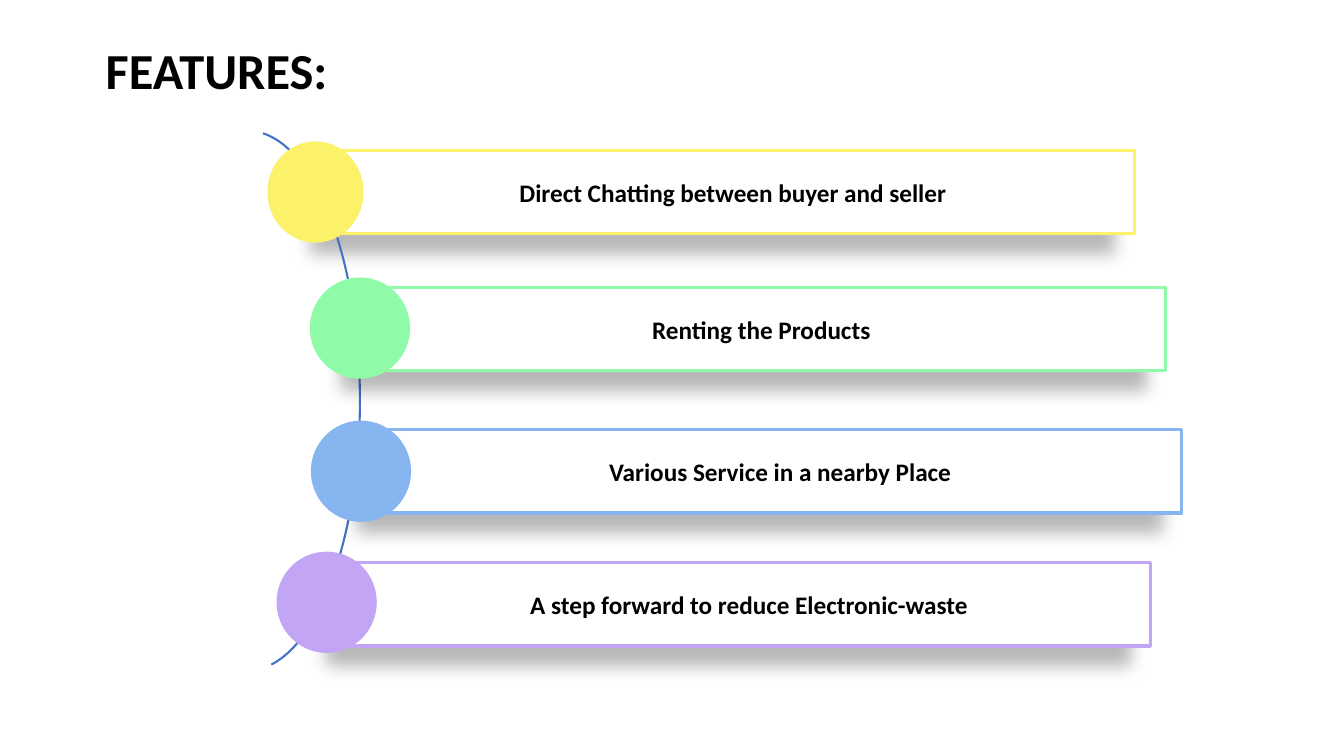
import lxml.etree
import pptx
import pptx.dml.color
import pptx.enum.shapes
import pptx.enum.text
import pptx.oxml.ns
import pptx.util

SCALE = 9144  # EMU per px, 100 px to the inch
SHAPE = pptx.enum.shapes.MSO_SHAPE
ALIGN = pptx.enum.text.PP_ALIGN
ANCHOR = pptx.enum.text.MSO_ANCHOR

BAR_W, BAR_H = 796, 83
DOT_H = 99

# label, colour, bar (left, top), dot (left, top, width)
FEATURES = [
    ("Direct Chatting between buyer and seller", "FBF269", (329, 149), (266, 141, 94)),
    ("Renting the Products ", "8FFBA8", (360, 285), (308, 276, 98)),
    ("Various Service in a nearby Place", "87B5F0", (376, 426), (309, 418, 98)),
    ("A step forward to reduce Electronic-waste", "C3A5F5", (345, 558), (275, 548, 98)),
]


def px(*lengths):
    return [pptx.util.Emu(n * SCALE) for n in lengths]


def rgb(value):
    return pptx.dml.color.RGBColor.from_string(value)


class Deck:
    font = {"name": "Calibri", "bold": True}
    ink = "000000"

    def __init__(self, width, height):
        self.prs = pptx.Presentation()
        self.prs.slide_width, self.prs.slide_height = px(width, height)
        self.slide = self.prs.slides.add_slide(self.prs.slide_layouts[6])

    def shape(self, kind, box, line, weight, fill=None):
        sp = self.slide.shapes.add_shape(kind, *px(*box))
        sp.shadow.inherit = False
        if fill:
            sp.fill.solid()
            sp.fill.fore_color.rgb = rgb(fill)
        else:
            sp.fill.background()
        sp.line.color.rgb = rgb(line)
        sp.line.width = pptx.util.Pt(weight)
        return sp

    def text(self, tf, words, size, align):
        tf.word_wrap = True
        p = tf.paragraphs[0]
        p.alignment = align
        r = p.add_run()
        r.text = words
        for key, value in {**self.font, "size": pptx.util.Pt(size)}.items():
            setattr(r.font, key, value)
        r.font.color.rgb = rgb(self.ink)

    def drop_shadow(self, sp):
        qn = pptx.oxml.ns.qn
        effects = sp._element.spPr.find(qn("a:effectLst"))
        shadow = lxml.etree.SubElement(
            effects, qn("a:outerShdw"), blurRad=str(pptx.util.Pt(11.8)),
            dist=str(pptx.util.Pt(19.7)), dir=str(141 * 60000), rotWithShape="0")
        color = lxml.etree.SubElement(shadow, qn("a:srgbClr"), val=self.ink)
        lxml.etree.SubElement(color, qn("a:alpha"), val="28000")

    def title(self, words, box):
        tf = self.slide.shapes.add_textbox(*px(*box)).text_frame
        tf.auto_size = pptx.enum.text.MSO_AUTO_SIZE.SHAPE_TO_FIT_TEXT
        self.text(tf, words, 36, ALIGN.LEFT)

    def bar(self, label, color, left, top):
        sp = self.shape(SHAPE.RECTANGLE, (left, top, BAR_W, BAR_H), color, 2.25, "FFFFFF")
        self.drop_shadow(sp)
        sp.text_frame.vertical_anchor = ANCHOR.MIDDLE
        self.text(sp.text_frame, label, 18, ALIGN.CENTER)

    def dot(self, color, left, top, width):
        self.shape(SHAPE.OVAL, (left, top, width, DOT_H), color, 1, color)

    def arc(self, box, start, end):
        sp = self.shape(SHAPE.ARC, box, "4472C4", 1.5)
        # angles are stored in 60000ths of a degree, adjustments in 100000ths
        for i, degrees in enumerate((start, end)):
            sp.adjustments[i] = degrees * 0.6


def main():
    deck = Deck(1333, 750)

    # Bars, with the arc above the first one's shadow
    for i, (label, color, corner, _) in enumerate(FEATURES):
        deck.bar(label, color, *corner)
        if i == 0:
            deck.arc((136, 130, 221, 535), 273.09, 85.06)

    # Dots on the arc
    for _, color, _, place in FEATURES:
        deck.dot(color, *place)

    # Heading
    deck.title("FEATURES:", (95, 34, 255, 71))

    deck.prs.save("out.pptx")


if __name__ == "__main__":
    main()
